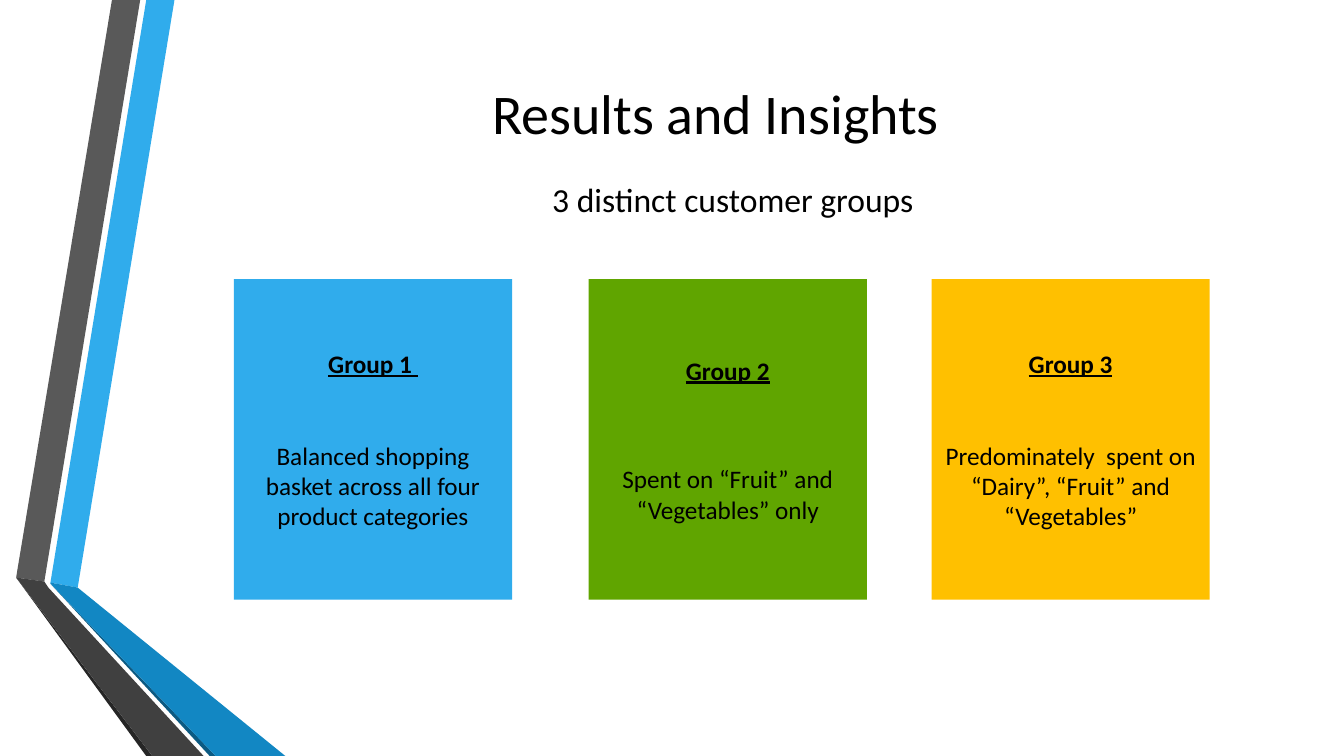
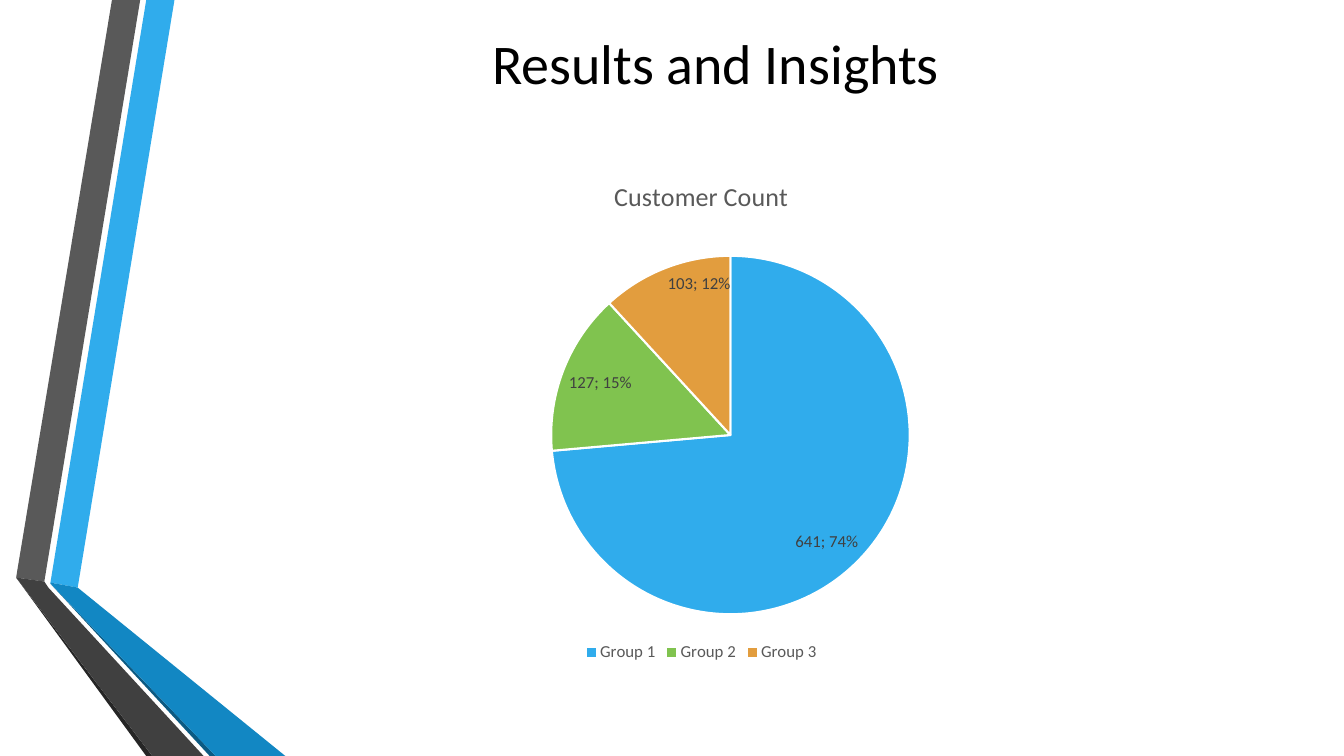
from lxml.etree import SubElement
from pptx import Presentation
from pptx.chart.data import CategoryChartData
from pptx.dml.color import RGBColor
from pptx.enum.chart import XL_CHART_TYPE, XL_LABEL_POSITION, XL_LEGEND_POSITION
from pptx.enum.shapes import MSO_SHAPE
from pptx.enum.text import MSO_ANCHOR, PP_ALIGN
from pptx.oxml import parse_xml
from pptx.oxml.ns import nsdecls, qn
from pptx.util import Inches, Pt

WIDTH, HEIGHT = Inches(13.33), Inches(7.5)
COLUMN, ROW = WIDTH / 100, HEIGHT / 100

FONT = "Calibri"
BLACK, WHITE, GRAY, CHARCOAL = "000000", "FFFFFF", "595959", "404040"
BLUE, GREEN, AMBER = "30ACEC", "60A500", "FFC000"
LIME, ORANGE = "80C34F", "E29D3E"

RIBBONS = [
    (BLUE, [(3.75, 77.07), (5.78, 77.73), (12.98, 0), (10.88, 0)]),
    (GRAY, [(10.43, 0), (8.33, 0), (1.2, 76.4), (3.3, 76.93)]),
    ("262626", [(1.2, 76.4), (10.88, 100), (11.33, 100)]),
    ("0C5A82", [(3.75, 77.2), (15.6, 100), (16.05, 100)]),
    ("1287C3", [(3.75, 77.07), (3.75, 77.2), (16.05, 100), (21.23, 100), (5.78, 77.73)]),
    (CHARCOAL, [(15.15, 100), (3.6, 77.73), (3.3, 76.93), (1.2, 76.4), (11.33, 100)]),
]

CARD_TOP, CARD_WIDTH, CARD_HEIGHT = 36.93, 20.7, 42.4
CARDS = [
    (17.4, BLUE, "Group 1 ", 44,
     "Balanced shopping basket across all four product categories"),
    (43.8, GREEN, "Group 2", 56, "Spent on “Fruit” and “Vegetables” only"),
    (69.31, AMBER, "Group 3", 44,
     "Predominately  spent on “Dairy”, “Fruit” and “Vegetables”"),
]

CUSTOMERS = [("Group 1", 641, BLUE), ("Group 2", 127, LIME), ("Group 3", 103, ORANGE)]
PIE_FRAME = {"x": 0.32, "y": 0.19, "w": 0.43, "h": 0.71}


def color(value):
    return RGBColor.from_string(value)


def box(left, top, width, height):
    return (round(left * COLUMN), round(top * ROW),
            round(width * COLUMN), round(height * ROW))


def place(shape, left, top, width, height):
    shape.left, shape.top, shape.width, shape.height = box(left, top, width, height)


def paint(shape, fill):
    shape.fill.solid()
    shape.fill.fore_color.rgb = color(fill)
    shape.line.fill.background()
    shape.shadow.inherit = False


def style(font, size, ink=BLACK, bold=False, underline=False):
    font.name = FONT
    font.size = Pt(size)
    font.color.rgb = color(ink)
    font.bold = bold
    font.underline = underline


def center(frame, size):
    frame.word_wrap = True
    frame.vertical_anchor = MSO_ANCHOR.MIDDLE
    for paragraph in frame.paragraphs:
        paragraph.alignment = PP_ALIGN.CENTER
        for run in paragraph.runs:
            style(run.font, size)


def add_ribbons(slide, master):
    for number, (fill, corners) in enumerate(RIBBONS):
        points = [(round(x * COLUMN), round(y * ROW)) for x, y in corners]
        outline = slide.shapes.build_freeform(*points[0])
        outline.add_line_segments(points[1:])
        ribbon = outline.convert_to_shape()
        paint(ribbon, fill)
        ribbon.element.xpath(".//p:cNvPr")[0].set("id", str(100 + number))
        master.shapes.element.insert(2 + number, ribbon.element)


def write_title(slide, top, height):
    title = slide.shapes.title
    place(title, 12.15, top, 82.2, height)
    title.text_frame.text = "Results and Insights"
    center(title.text_frame, 40)


def write_subtitle(slide, text):
    subtitle = slide.placeholders[1]
    place(subtitle, 13.43, 21.73, 82.2, 9.07)
    subtitle.text_frame.text = text
    center(subtitle.text_frame, 24)
    properties = subtitle.text_frame.paragraphs[0]._p.get_or_add_pPr()
    properties.set("marL", "0")
    properties.set("indent", "0")
    SubElement(properties, qn("a:buNone"))


def add_card(slide, left, fill, heading, gap, detail):
    card = slide.shapes.add_shape(
        MSO_SHAPE.RECTANGLE, *box(left, CARD_TOP, CARD_WIDTH, CARD_HEIGHT))
    paint(card, fill)
    frame = card.text_frame
    frame.text = heading
    description = frame.add_paragraph()
    description.text = detail
    description.space_before = Pt(gap)
    center(frame, 18)
    style(frame.paragraphs[0].runs[0].font, 18, bold=True, underline=True)


def fix_pie_frame(chart):
    plot_area = chart.element.xpath(".//c:plotArea")[0]
    for layout in plot_area.xpath("./c:layout"):
        plot_area.remove(layout)
    modes = "".join(f'<c:{side}Mode val="edge"/>' for side in "xy")
    sizes = "".join(f'<c:{side} val="{share}"/>' for side, share in PIE_FRAME.items())
    plot_area.insert(0, parse_xml(
        f'<c:layout {nsdecls("c")}><c:manualLayout><c:layoutTarget val="inner"/>'
        f'{modes}{sizes}</c:manualLayout></c:layout>'))


def label_slices(chart, series):
    labels = series.data_labels
    labels.show_value = True
    labels.show_percentage = True
    labels.position = XL_LABEL_POSITION.INSIDE_END
    style(labels.font, 12, CHARCOAL)
    for flag in chart.element.xpath(".//c:dLbls/c:showBubbleSize"):
        flag.addnext(parse_xml(f'<c:separator {nsdecls("c")}>; </c:separator>'))


def add_customer_pie(slide):
    names, counts, fills = zip(*CUSTOMERS)
    customers = CategoryChartData()
    customers.categories = names
    customers.add_series("Customer Count", counts)
    chart = slide.shapes.add_chart(
        XL_CHART_TYPE.PIE, *box(21.16, 20.93, 62.04, 67.2), customers).chart
    style(chart.font, 10)
    chart.has_title = True
    heading = chart.chart_title.text_frame
    heading.text = "Customer Count"
    style(heading.paragraphs[0].runs[0].font, 18.6, GRAY)
    chart.has_legend = True
    chart.legend.position = XL_LEGEND_POSITION.BOTTOM
    chart.legend.include_in_layout = False
    style(chart.legend.font, 12, GRAY)
    chart.plots[0].vary_by_categories = True
    series = chart.plots[0].series[0]
    for index, fill in enumerate(fills):
        slice_format = series.points[index].format
        slice_format.fill.solid()
        slice_format.fill.fore_color.rgb = color(fill)
        slice_format.line.color.rgb = color(WHITE)
        slice_format.line.width = Pt(1.5)
    label_slices(chart, series)
    fix_pie_frame(chart)


def main():
    deck = Presentation()
    deck.slide_width, deck.slide_height = WIDTH, HEIGHT

    groups = deck.slides.add_slide(deck.slide_layouts[1])
    add_ribbons(groups, deck.slide_master)
    write_title(groups, 4.13, 21.47)
    write_subtitle(groups, "3 distinct customer groups")
    for card in CARDS:
        add_card(groups, *card)

    counts = deck.slides.add_slide(deck.slide_layouts[5])
    write_title(counts, 2.27, 11.87)
    add_customer_pie(counts)

    deck.save("out.pptx")


if __name__ == "__main__":
    main()
